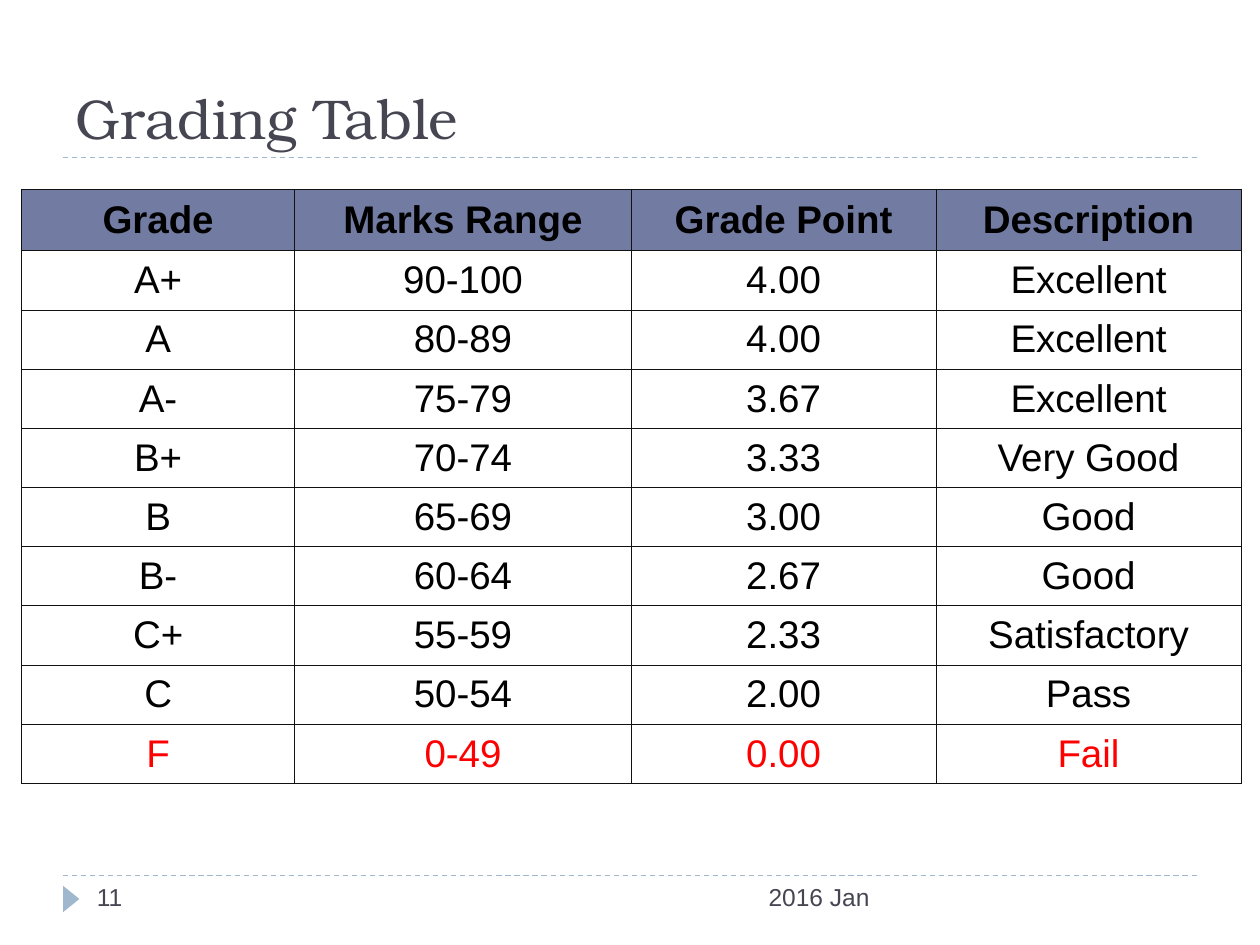
from lxml.etree import SubElement
from pptx import Presentation
from pptx.dml.color import RGBColor
from pptx.enum.dml import MSO_LINE
from pptx.enum.shapes import MSO_CONNECTOR, MSO_SHAPE
from pptx.enum.text import MSO_ANCHOR, PP_ALIGN
from pptx.oxml.ns import qn
from pptx.util import Inches, Pt

COLORS = {
    "text": "464653",
    "accent": "9FB8CD",
    "header": "727CA3",
    "border": "111111",
    "body": "000000",
    "fail": "FF0000",
}
GRADES = [
    ("Grade", "Marks Range", "Grade Point", "Description"),
    ("A+", "90-100", "4.00", "Excellent"),
    ("A", "80-89", "4.00", "Excellent"),
    ("A-", "75-79", "3.67", "Excellent"),
    ("B+", "70-74", "3.33", "Very Good"),
    ("B", "65-69", "3.00", "Good"),
    ("B-", "60-64", "2.67", "Good"),
    ("C+", "55-59", "2.33", "Satisfactory"),
    ("C", "50-54", "2.00", "Pass"),
    ("F", "0-49", "0.00", "Fail"),
]
COLUMN_WIDTHS = (2.17, 2.67, 2.42, 2.42)
HEADER_HEIGHT = 0.49
ROW_HEIGHT = 0.47


def color(name):
    return RGBColor.from_string(COLORS[name])


def style_text(p, size, color_name, font="Arial", align=PP_ALIGN.LEFT, bold=False):
    p.alignment = align
    p.font.name = font
    p.font.size = Pt(size)
    p.font.bold = bold
    p.font.color.rgb = color(color_name)


def add_rule(s, y):
    line = s.shapes.add_connector(
        MSO_CONNECTOR.STRAIGHT, Inches(0.5), Inches(y), Inches(9.5), Inches(y)
    )
    line.line.color.rgb = color("accent")
    line.line.width = Pt(0.75)
    line.line.dash_style = MSO_LINE.DASH
    SubElement(line._element.spPr, qn("a:effectLst"))


def add_marker(s):
    sp = s.shapes.add_shape(
        MSO_SHAPE.ISOSCELES_TRIANGLE,
        Inches(0.46), Inches(7.07), Inches(0.21), Inches(0.13),
    )
    sp.rotation = 90
    sp.shadow.inherit = False
    sp.fill.solid()
    sp.fill.fore_color.rgb = color("accent")
    sp.line.fill.background()


def set_title(s, text):
    title = s.shapes.title
    title.left, title.top = Inches(0.5), Inches(0.25)
    title.width, title.height = Inches(9), Inches(1)
    tf = title.text_frame
    tf.text = text
    tf.vertical_anchor = MSO_ANCHOR.BOTTOM
    style_text(tf.paragraphs[0], 32, "text", font="TeX Gyre Bonum")


def add_footer(s, text, left, width, align):
    box = s.shapes.add_textbox(Inches(left), Inches(6.95), Inches(width), Inches(0.4))
    tf = box.text_frame
    tf.word_wrap = True
    tf.text = text
    style_text(tf.paragraphs[0], 14, "text", align=align)


def set_borders(cell):
    tc_pr = cell._tc.get_or_add_tcPr()
    for side in ("lnL", "lnR", "lnT", "lnB"):
        ln = SubElement(tc_pr, qn(f"a:{side}"), w=str(Pt(0.45)))
        fill = SubElement(ln, qn("a:solidFill"))
        SubElement(fill, qn("a:srgbClr"), val=COLORS["border"])


def fill_cell(cell, text, color_name, is_header):
    set_borders(cell)
    if is_header:
        cell.fill.solid()
        cell.fill.fore_color.rgb = color("header")
    else:
        cell.fill.background()
    cell.vertical_anchor = MSO_ANCHOR.MIDDLE
    cell.text = text
    style_text(
        cell.text_frame.paragraphs[0], 22, color_name,
        align=PP_ALIGN.CENTER, bold=is_header,
    )


def add_grading_table(s):
    height = HEADER_HEIGHT + ROW_HEIGHT * (len(GRADES) - 1)
    table = s.shapes.add_table(
        len(GRADES), len(COLUMN_WIDTHS),
        Inches(0.17), Inches(1.5), Inches(sum(COLUMN_WIDTHS)), Inches(height),
    ).table
    for column, width in zip(table.columns, COLUMN_WIDTHS):
        column.width = Inches(width)
    for i, values in enumerate(GRADES):
        is_header = i == 0
        table.rows[i].height = Inches(HEADER_HEIGHT if is_header else ROW_HEIGHT)
        color_name = "fail" if values[0] == "F" else "body"
        for j, value in enumerate(values):
            fill_cell(table.cell(i, j), value, color_name, is_header)


def main():
    prs = Presentation()
    prs.slide_width, prs.slide_height = Inches(10), Inches(7.5)
    s = prs.slides.add_slide(prs.slide_layouts[5])
    for y in (6.95, 1.25):
        add_rule(s, y)
    add_marker(s)
    set_title(s, "Grading Table")
    add_footer(s, "2016 Jan", 3.17, 3.83, PP_ALIGN.RIGHT)
    add_footer(s, "11", 0.67, 2.17, PP_ALIGN.LEFT)
    add_grading_table(s)
    prs.save("out.pptx")


if __name__ == "__main__":
    main()
